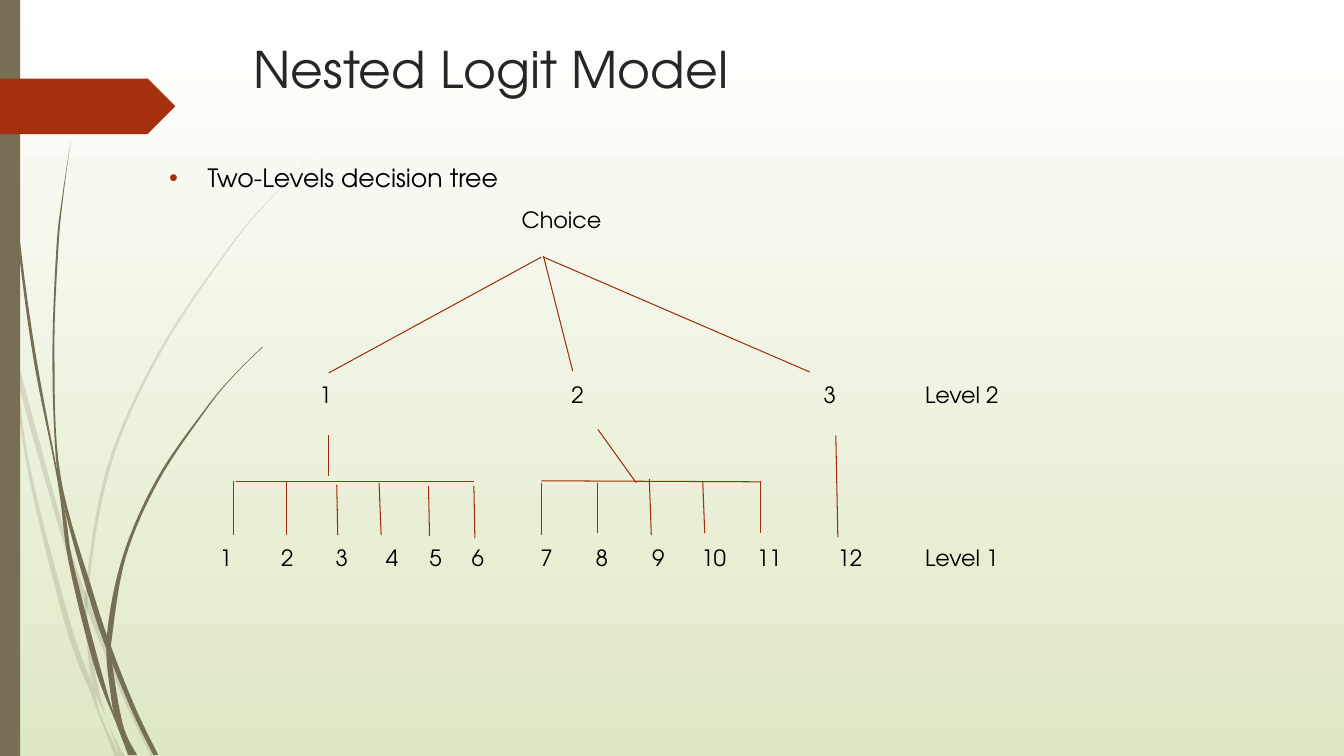
import pptx
import pptx.dml.color
import pptx.enum.dml
import pptx.enum.shapes
import pptx.enum.text
import pptx.oxml
import pptx.oxml.ns
import pptx.util
from typing import NamedTuple

COLORS = {"olive": "766F54", "rust": "A53010", "branch": "9E2E0F",
          "title": "262626", "text": "000000", "sky": "FFFFFF", "meadow": "DFE8C4"}
FONT = "TeX Gyre Adventor"
COLUMNS, ROWS = 13.33, 7.5
STEPS = 8

Point = tuple[float, float]


class Strand(NamedTuple):
    outward: list[Point]
    back: list[Point]
    opacity: int


class Label(NamedTuple):
    text: str
    center: float
    top: float


class Branch(NamedTuple):
    left: float
    top: float
    right: float
    bottom: float


STRANDS = [
    Strand([(0, 2.99), (0.11, 3.5), (0.28, 4.7), (0.65, 6.21), (0.92, 6.93), (1.14, 7.51)],
           [(1.19, 7.51), (0.99, 7.07), (0.93, 6.83), (0.7, 6.19), (0.31, 4.69),
            (0.17, 3.76), (0.09, 3.22), (0, 2.82)], 20),
    Strand([(0.14, 3.45), (0.17, 3.76), (0.58, 5.22), (0.84, 5.99), (1.23, 6.94), (1.5, 7.51)],
           [(1.55, 7.51), (1.27, 6.92), (0.92, 6.07), (0.62, 5.2), (0.14, 3.45)], 20),
    Strand([(3.12, 1.53), (2.68, 1.97), (2.28, 2.44), (1.58, 3.48), (1.07, 4.61),
            (0.85, 5.84), (0.87, 6.46), (0.93, 6.83), (1.05, 7.11), (1.19, 7.51)],
           [(1.24, 7.51), (1.05, 7.11), (0.91, 6.46), (0.88, 5.84), (1.1, 4.62),
            (1.6, 3.49), (2.29, 2.45), (2.68, 1.98), (3.12, 1.53)], 20),
    Strand([(0.03, 0), (0.07, 1.1), (0.17, 2.33), (0.33, 3.55), (0.57, 4.77),
            (0.68, 5.57), (0.93, 6.59), (1.17, 7.22), (1.27, 7.49)],
           [(1.31, 7.49), (1.16, 7.17), (0.98, 6.57), (0.72, 5.56), (0.64, 5.05),
            (0.36, 3.55), (0.19, 2.32), (0.08, 1.09), (0.04, 0)], 100),
    Strand([(0.7, 1.41), (0.62, 1.93), (0.56, 2.45), (0.52, 3.49), (0.55, 4.49),
            (0.64, 5.05), (0.88, 5.92), (1.06, 6.45), (1.32, 7.08), (1.52, 7.49)],
           [(1.57, 7.49), (1.36, 7.06), (1.13, 6.49), (0.93, 5.9), (0.6, 4.72),
            (0.54, 3.49), (0.58, 2.45), (0.63, 1.93), (0.7, 1.41)], 100),
    Strand([(2.6, 3.44), (2.31, 3.73), (2.04, 4.05), (1.56, 4.74), (1.22, 5.51),
            (1.06, 6.31), (1.1, 6.91), (1.17, 7.22), (1.3, 7.49)],
           [(1.36, 7.49), (1.22, 7.19), (1.11, 6.56), (1.11, 6.33), (1.25, 5.52),
            (1.58, 4.76), (2.05, 4.06), (2.31, 3.74), (2.61, 3.44)], 100),
]

LEVEL_TWO, LEVEL_ONE = 3.78, 5.4
LEAF_CENTERS = [2.24, 2.85, 3.39, 3.89, 4.32, 4.74, 5.42, 5.97, 6.53, 7.08, 7.63, 8.43]
LABELS = [
    Label("Choice", 5.57, 2.05),
    *[Label(str(number), center, LEVEL_TWO)
      for number, center in enumerate([3.23, 5.73, 8.23], 1)],
    Label("Level 2", 9.54, LEVEL_TWO),
    *[Label(str(number), center, LEVEL_ONE) for number, center in enumerate(LEAF_CENTERS, 1)],
    Label("Level 1", 9.54, LEVEL_ONE),
]

BRANCHES = [Branch(*ends) for ends in [
    (3.26, 3.7, 5.37, 2.55), (5.39, 2.54, 5.68, 3.68), (5.39, 2.55, 8.03, 3.69),
    (3.26, 4.32, 3.26, 4.72), (5.93, 4.26, 6.31, 4.79), (8.29, 4.32, 8.31, 5.33),
    (2.34, 4.78, 4.7, 4.78), (5.37, 4.77, 7.54, 4.78),
    (2.32, 4.77, 2.32, 5.31), (2.84, 4.77, 2.84, 5.31), (3.34, 4.81, 3.35, 5.31),
    (3.76, 4.79, 3.78, 5.31), (4.25, 4.82, 4.26, 5.32), (4.7, 4.82, 4.71, 5.34),
    (5.37, 4.79, 5.37, 5.31), (5.93, 4.79, 5.93, 5.29), (6.44, 4.75, 6.46, 5.31),
    (6.97, 4.77, 6.99, 5.29), (7.54, 4.77, 7.54, 5.29)]]

deck = pptx.Presentation()
deck.slide_width = pptx.util.Inches(COLUMNS)
deck.slide_height = pptx.util.Inches(ROWS)
page = deck.slides.add_slide(deck.slide_layouts[5])


def across(columns: float) -> int:
    return round(deck.slide_width * columns / COLUMNS)


def down(rows: float) -> int:
    return round(deck.slide_height * rows / ROWS)


def area(left: float, top: float, width: float, height: float) -> tuple[int, int, int, int]:
    return across(left), down(top), across(width), down(height)


def rgb(name: str) -> pptx.dml.color.RGBColor:
    return pptx.dml.color.RGBColor.from_string(COLORS[name])


def smooth_edge(points: list[Point]) -> list[Point]:
    padded = [points[0], *points, points[-1]]
    curve = [points[0]]
    for before, start, end, after in zip(padded, padded[1:], padded[2:], padded[3:]):
        for step in range(1, STEPS + 1):
            t = step / STEPS
            curve.append(tuple(
                b + (c - a) * t / 2 + (a - 2.5 * b + 2 * c - d / 2) * t ** 2
                + (1.5 * (b - c) + (d - a) / 2) * t ** 3
                for a, b, c, d in zip(before, start, end, after)))
    return curve


def paint(shape, color: str, opacity: int = 100) -> None:
    shape.shadow.inherit = False
    shape.fill.solid()
    shape.fill.fore_color.rgb = rgb(color)
    shape.line.fill.background()
    if opacity < 100:
        tint = shape.fill._xPr.find(".//" + pptx.oxml.ns.qn("a:srgbClr"))
        tint.append(pptx.oxml.parse_xml(
            f'<a:alpha {pptx.oxml.ns.nsdecls("a")} val="{opacity * 1000}"/>'))


def draw_strand(strand: Strand) -> None:
    outline = [(across(x), down(y))
               for x, y in smooth_edge(strand.outward) + smooth_edge(strand.back)]
    builder = page.shapes.build_freeform(*outline[0])
    builder.add_line_segments(outline[1:], close=True)
    paint(builder.convert_to_shape(), "olive", strand.opacity)


def write(para, text: str, size: float, color: str) -> None:
    span = para.add_run()
    span.text = text
    span.font.name = FONT
    span.font.size = pptx.util.Pt(size)
    span.font.color.rgb = rgb(color)


def draw_label(label: Label) -> None:
    width = 1 if len(label.text) > 2 else 0.4
    box = page.shapes.add_textbox(*area(label.center - width / 2, label.top, width, 0.3))
    frame = box.text_frame
    frame.word_wrap = True
    frame.margin_left = frame.margin_right = frame.margin_top = frame.margin_bottom = 0
    para = frame.paragraphs[0]
    para.alignment = pptx.enum.text.PP_ALIGN.CENTER
    write(para, label.text, 16, "text")


def draw_branch(branch: Branch) -> None:
    line = page.shapes.add_connector(
        pptx.enum.shapes.MSO_CONNECTOR.STRAIGHT,
        across(branch.left), down(branch.top), across(branch.right), down(branch.bottom))
    line.line.color.rgb = rgb("branch")
    line.line.width = pptx.util.Pt(0.75)
    line._element.spPr.append(
        pptx.oxml.parse_xml(f'<a:effectLst {pptx.oxml.ns.nsdecls("a")}/>'))


backdrop = page.background.fill
backdrop.gradient()
backdrop.gradient_angle = 270
for stop, color in zip(backdrop.gradient_stops, ["sky", "meadow"]):
    stop.color.rgb = rgb(color)

for strand in STRANDS:
    draw_strand(strand)
SHAPES = pptx.enum.shapes.MSO_SHAPE
paint(page.shapes.add_shape(SHAPES.RECTANGLE, *area(0, 0, 0.2, ROWS)), "olive")
marker = page.shapes.add_shape(SHAPES.PENTAGON, *area(0, 0.78, 1.74, 0.55))
paint(marker, "rust")

title = page.shapes.title
title.left, title.top, title.width, title.height = area(2.41, 0.33, 9.75, 0.79)
title.text_frame.vertical_anchor = pptx.enum.text.MSO_ANCHOR.TOP
title.text_frame.paragraphs[0].alignment = pptx.enum.text.PP_ALIGN.LEFT
write(title.text_frame.paragraphs[0], "Nested Logit Model", 36, "title")

topic = page.shapes.add_textbox(*area(1.58, 1.56, 11.01, 0.4))
topic.text_frame.word_wrap = True
bullet = topic.text_frame.paragraphs[0]
write(bullet, "Two-Levels decision tree", 18, "text")
layout = bullet._p.get_or_add_pPr()
layout.set("marL", str(across(0.38)))
layout.set("indent", str(-across(0.38)))
for mark in (f'buClr {pptx.oxml.ns.nsdecls("a")}><a:srgbClr val="{COLORS["rust"]}"/></a:buClr',
             f'buFont {pptx.oxml.ns.nsdecls("a")} typeface="Arial"/',
             f'buChar {pptx.oxml.ns.nsdecls("a")} char="•"/'):
    layout.append(pptx.oxml.parse_xml(f"<a:{mark}>"))

for label in LABELS:
    draw_label(label)
for branch in BRANCHES:
    draw_branch(branch)

deck.save("out.pptx")
